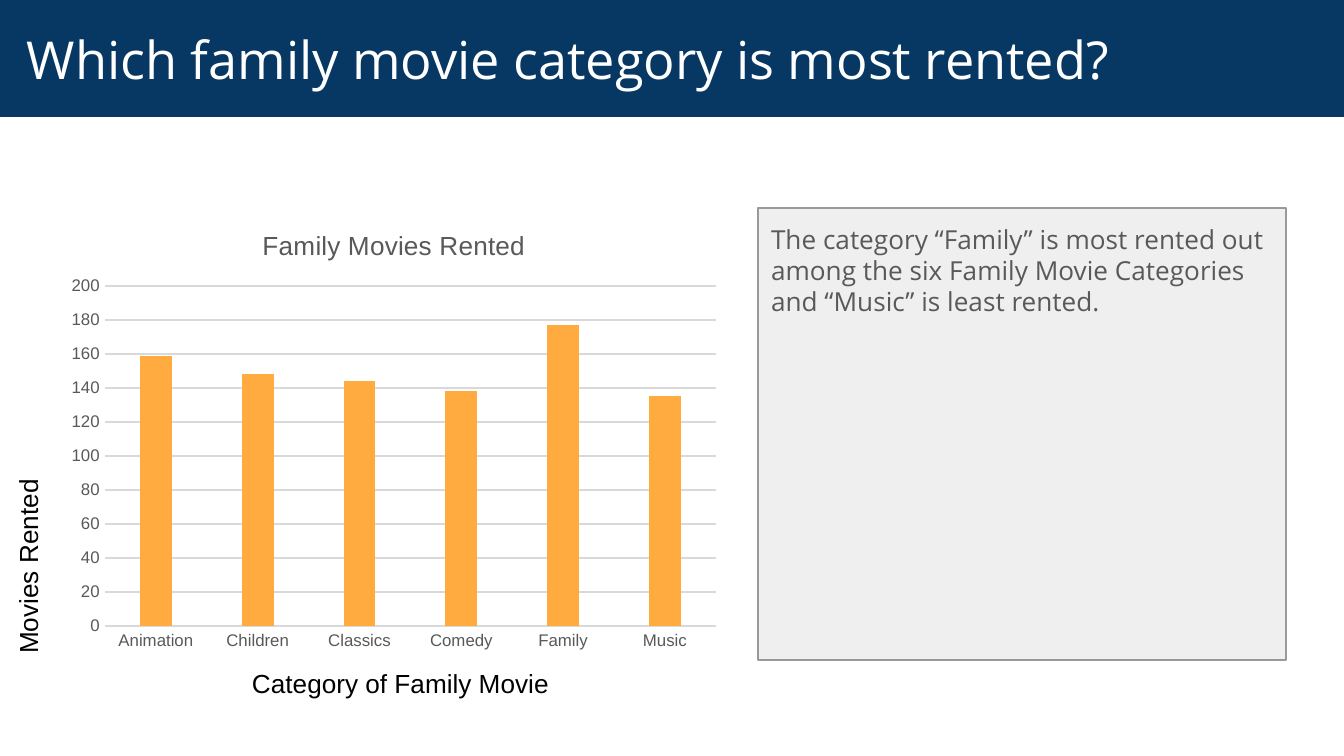
from lxml.etree import SubElement
from pptx import Presentation
from pptx.chart.data import CategoryChartData
from pptx.dml.color import RGBColor
from pptx.enum.chart import XL_CHART_TYPE, XL_TICK_MARK
from pptx.enum.shapes import MSO_SHAPE
from pptx.enum.text import MSO_ANCHOR, PP_ALIGN
from pptx.oxml.ns import qn
from pptx.util import Pt

PX = 914400 / 134.4
NAVY = RGBColor(0x07, 0x37, 0x63)
WHITE = RGBColor(0xFF, 0xFF, 0xFF)
BLACK = RGBColor(0, 0, 0)
ORANGE = RGBColor(0xFF, 0xAB, 0x40)
PANEL = RGBColor(0xEF, 0xEF, 0xEF)
BORDER = RGBColor(0x99, 0x99, 0x99)
GRID = RGBColor(0xD9, 0xD9, 0xD9)
GRAY = RGBColor(0x59, 0x59, 0x59)

RENTALS = {"Animation": 159, "Children": 148, "Classics": 144,
           "Comedy": 138, "Family": 177, "Music": 135}
CHART_TITLE = "Family Movies Rented"
CHART_BOX = (58, 208, 672, 452)
PLOT_BOX = (105, 286, 611, 340)

TITLE_FONT = {"name": "Open Sans", "size": Pt(28), "color": WHITE}
BODY_FONT = {"name": "Open Sans", "size": Pt(14), "color": GRAY}
LABEL_FONT = {"name": "Arial", "size": Pt(14), "color": BLACK}
HEADING_FONT = {"name": "Arial", "size": Pt(14), "color": GRAY, "bold": False}
TICK_FONT = {"name": "Arial", "size": Pt(9), "color": GRAY}

TEXTS = [
    {"text": "Which family movie category is most rented?",
     "box": (0, 0, 1344, 117), "font": TITLE_FONT, "fill": NAVY,
     "insets": (27, 13, 13, 13), "anchor": MSO_ANCHOR.MIDDLE},
    {"text": "The category “Family” is most rented out among the six "
             "Family Movie Categories and “Music” is least rented.",
     "box": (758, 208, 528, 452), "font": BODY_FONT, "fill": PANEL,
     "line": BORDER, "insets": (13, 15, 13, 13)},
    {"text": "Movies Rented", "box": (-1, 253, 59, 408),
     "font": LABEL_FONT, "vert": "vert270", "insets": (13, 7, 13, 7)},
    {"text": "Category of Family Movie", "box": (152, 660, 497, 46),
     "font": LABEL_FONT, "align": PP_ALIGN.CENTER, "insets": (13, 7, 13, 7)},
]


def px(*lengths):
    return [round(n * PX) for n in lengths]


def set_font(font, formats):
    for key, value in formats.items():
        if key == "color":
            font.color.rgb = value
        else:
            setattr(font, key, value)


def add_text(s, text, box, font, insets, fill=None, line=None,
             align=PP_ALIGN.LEFT, anchor=MSO_ANCHOR.TOP, vert=None):
    if fill is None:
        sp = s.shapes.add_textbox(*px(*box))
    else:
        sp = s.shapes.add_shape(MSO_SHAPE.RECTANGLE, *px(*box))
        sp.shadow.inherit = False
        sp.fill.solid()
        sp.fill.fore_color.rgb = fill
        if line is None:
            sp.line.fill.background()
        else:
            sp.line.color.rgb = line
            sp.line.width = Pt(0.75)
    tf = sp.text_frame
    tf.word_wrap = True
    tf.vertical_anchor = anchor
    for side, inset in zip(("left", "top", "right", "bottom"), px(*insets)):
        setattr(tf, f"margin_{side}", inset)
    if vert:
        tf._txBody.bodyPr.set("vert", vert)
    p = tf.paragraphs[0]
    p.alignment = align
    r = p.add_run()
    r.text = text
    set_font(r.font, font)


def place_plot(chart):
    plot_area = chart._chartSpace.chart.plotArea
    layout = plot_area.find(qn("c:layout"))
    if layout is None:
        layout = SubElement(plot_area, qn("c:layout"))
        plot_area.insert(0, layout)
    manual = SubElement(layout, qn("c:manualLayout"))
    left, top, width, height = CHART_BOX
    x, y, w, h = PLOT_BOX
    values = {"layoutTarget": "inner", "xMode": "edge", "yMode": "edge",
              "x": (x - left) / width, "y": (y - top) / height,
              "w": w / width, "h": h / height}
    for key, value in values.items():
        SubElement(manual, qn(f"c:{key}")).set("val", str(value))


def add_rentals_chart(s):
    data = CategoryChartData()
    data.categories = list(RENTALS)
    data.add_series("Series 1", list(RENTALS.values()))
    chart = s.shapes.add_chart(XL_CHART_TYPE.COLUMN_CLUSTERED,
                               *px(*CHART_BOX), data).chart
    set_font(chart.font, {"name": "Arial", "size": Pt(10), "color": BLACK})
    chart.has_legend = False
    chart.has_title = True
    tf = chart.chart_title.text_frame
    tf.text = CHART_TITLE
    set_font(tf.paragraphs[0].runs[0].font, HEADING_FONT)
    chart.chart_title.include_in_layout = False

    plot = chart.plots[0]
    for key, value in {"gap_width": 219, "overlap": -27,
                       "vary_by_categories": False}.items():
        setattr(plot, key, value)
    fill = plot.series[0].format.fill
    fill.solid()
    fill.fore_color.rgb = ORANGE

    cat, val = chart.category_axis, chart.value_axis
    for axis in (cat, val):
        axis.major_tick_mark = axis.minor_tick_mark = XL_TICK_MARK.NONE
        set_font(axis.tick_labels.font, TICK_FONT)
    for key, value in {"minimum_scale": 0, "maximum_scale": 200,
                       "major_unit": 20, "has_major_gridlines": True}.items():
        setattr(val, key, value)
    val.format.line.fill.background()
    for line in (cat.format.line, val.major_gridlines.format.line):
        line.color.rgb = GRID
        line.width = Pt(0.75)
    place_plot(chart)


prs = Presentation()
prs.slide_width, prs.slide_height = px(1344, 756)
s = prs.slides.add_slide(prs.slide_layouts[6])
add_rentals_chart(s)
for item in TEXTS:
    add_text(s, **item)
prs.save("out.pptx")
